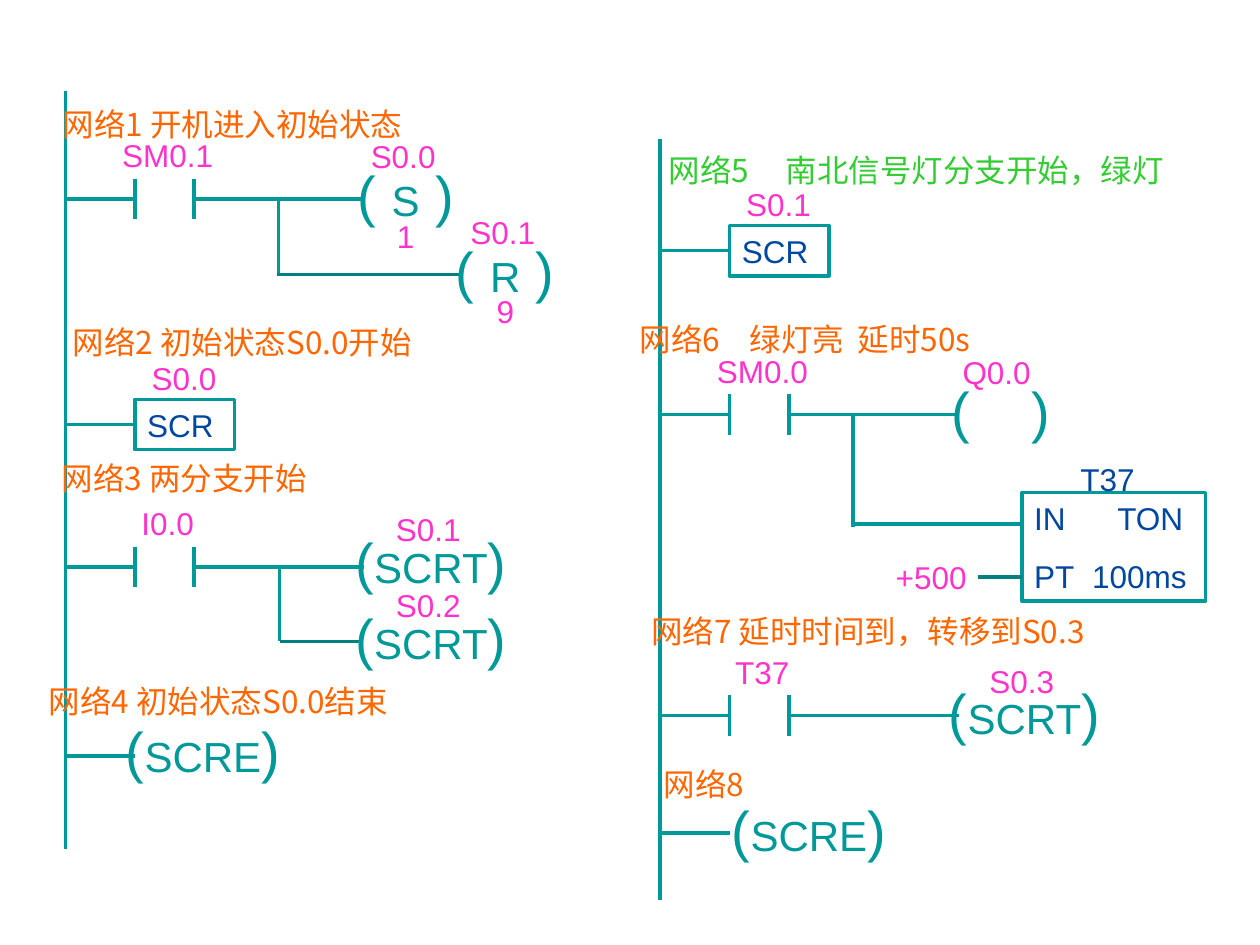
from lxml import etree
from pptx import Presentation
from pptx import util as u
from pptx.dml.color import RGBColor
from pptx.enum import shapes, text
from pptx.oxml.ns import qn

COLS, ROWS = 100, 75
COLORS = {"wire": "009999", "branch": "008080", "address": "FF33CC",
          "block": "0047A0", "title": "FF6600", "green": "33CC33"}
LATIN, CJK = "Arial", "Noto Sans CJK SC"


class Ladder:
    """Draws ladder-diagram parts on a grid of COLS by ROWS."""

    def __init__(self, prs):
        self.s = prs.slides.add_slide(prs.slide_layouts[6])
        self.cell_w = prs.slide_width / COLS
        self.cell_h = prs.slide_height / ROWS

    def x(self, cols):
        return u.Emu(round(cols * self.cell_w))

    def y(self, rows):
        return u.Emu(round(rows * self.cell_h))

    def box(self, x, y, w, h):
        return self.x(x), self.y(y), self.x(w), self.y(h)

    def color(self, name):
        return RGBColor.from_string(COLORS[name])

    def fill_paragraph(self, p, runs, color, font=LATIN, tabs=()):
        """Write (text, size) runs into a paragraph."""
        if tabs:
            tab_list = etree.SubElement(p._p.get_or_add_pPr(), qn("a:tabLst"))
            for stop in tabs:
                etree.SubElement(tab_list, qn("a:tab"), pos=str(self.x(stop)), algn="l")
        p.font.name = font
        p.font.color.rgb = self.color(color)
        if font == CJK:
            def_rpr = p._p.pPr.find(qn("a:defRPr"))
            etree.SubElement(def_rpr, qn("a:ea"), typeface=font)
        sizes = {size for _, size in runs}
        if len(sizes) == 1:
            p.font.size = u.Pt(sizes.pop())
        for words, size in runs:
            r = p.add_run()
            r.text = words
            if p.font.size is None:
                r.font.size = u.Pt(size)

    def text(self, x, y, w, h, runs, color, font=LATIN, tabs=(), centered=False):
        tf = self.s.shapes.add_textbox(*self.box(x, y, w, h)).text_frame
        tf.word_wrap = True
        tf.vertical_anchor = text.MSO_ANCHOR.BOTTOM
        p = tf.paragraphs[0]
        if centered:
            p.alignment = text.PP_ALIGN.CENTER
        self.fill_paragraph(p, runs, color, font, tabs)

    def title(self, x, y, w, words, color="title", tabs=()):
        self.text(x, y, w, 4, [(words, 18)], color, CJK, tabs)

    def label(self, cx, y, words, color="address", w=8.4):
        self.text(cx - w / 2, y, w, 4, [(words, 18)], color, centered=True)

    def wire(self, x1, y1, x2, y2, color="wire", end=None):
        c = self.s.shapes.add_connector(shapes.MSO_CONNECTOR.STRAIGHT,
                                        self.x(x1), self.y(y1), self.x(x2), self.y(y2))
        c.line.color.rgb = self.color(color)
        c.line.width = u.Pt(2)
        etree.SubElement(c._element.spPr, qn("a:effectLst"))
        if end is not None:
            c.end_connect(end, 1)

    def contact(self, rail, y, address):
        """Rail wire, open contact with its address, and wire to the coil."""
        left, right = rail + 5.5, rail + 10.2
        self.wire(rail, y, left, y)
        for bar in (left, right):
            self.wire(bar, y - 1.6, bar, y + 1.6)
        self.wire(right, y, rail + 23.7, y)
        self.label(rail + 8.1, y - 5.5, address, w=12.5)

    def coil(self, cx, y, name, address=None, count=None):
        short = len(name) == 1
        gap = " " if short else ""
        w = 13.4 if short else 16.1
        self.text(cx - w / 2, y, w, 6.4, [("(" + gap, 32), (name, 24), (gap + ")", 32)],
                  "wire", centered=True)
        if address:
            self.label(cx - 0.2, y - (1.8 if short else 1.3), address)
        if count:
            self.label(cx, y + 4.5, count)

    def block(self, x, y, w, h, lines):
        """Outlined block; each line is its text and tab stops."""
        sp = self.s.shapes.add_shape(shapes.MSO_SHAPE.RECTANGLE, *self.box(x, y, w, h))
        sp.shadow.inherit = False
        sp.fill.background()
        sp.line.color.rgb = self.color("wire")
        sp.line.width = u.Pt(2)
        tf = sp.text_frame
        tf.word_wrap = True
        tf.vertical_anchor = text.MSO_ANCHOR.MIDDLE
        for i, (words, tabs) in enumerate(lines):
            p = tf.add_paragraph() if i else tf.paragraphs[0]
            p.alignment = text.PP_ALIGN.LEFT
            if i:
                p.space_before = u.Pt(11.2)
            self.fill_paragraph(p, [(words, 18)], "block", tabs=tabs)
        return sp

    def scr(self, rail, y, address):
        """SCR block joined to the rail, with its address above."""
        x = rail + 5.5
        sp = self.block(x, y - 2, 7.9, 4, [("SCR", ())])
        self.wire(rail, y, x, y, end=sp)
        self.label(x + 3.9, y - 5.7, address)


def main():
    prs = Presentation()
    prs.slide_width, prs.slide_height = u.Inches(10), u.Inches(7.5)
    d = Ladder(prs)

    # Power rails
    left, right = 5.2, 52.4
    d.wire(left, 7.2, left, 67.4)
    d.wire(right, 11, right, 71.4)

    # Network 1: set S0.0, reset from S0.1
    d.title(4, 7.8, 31.2, "网络1 开机进入初始状态")
    d.contact(left, 15.8, "SM0.1")
    d.coil(32.2, 12.2, "S", "S0.0", "1")
    d.wire(22.1, 15.8, 22.1, 21.7)
    d.wire(36.7, 21.8, 22, 21.8, "branch")
    d.coil(40.1, 18.2, "R", "S0.1", "9")

    # Network 2: initial state begins
    d.title(4.8, 25.1, 38.6, "网络2 初始状态S0.0开始")
    d.scr(left, 33.7, "S0.0")

    # Network 3: two branches
    d.title(3.9, 35.9, 23.7, "网络3 两分支开始")
    d.contact(left, 45, "I0.0")
    d.coil(34.2, 41.3, "SCRT", "S0.1")
    d.wire(22.2, 45, 22.2, 50.9)
    d.wire(28.8, 50.9, 22.2, 50.9, "branch")
    d.coil(34.2, 47.3, "SCRT", "S0.2")

    # Network 4: initial state ends
    d.title(2.9, 53.6, 33.4, "网络4 初始状态S0.0结束")
    d.wire(left, 60, left + 5.5, 60)
    d.coil(16.1, 56.3, "SCRE")

    # Network 5: north-south branch
    d.title(52.1, 11.5, 45.7, "网络5\t南北信号灯分支开始，绿灯", "green", tabs=[9.3])
    d.scr(right, 19.9, "S0.1")

    # Network 6: green light and timer
    d.title(49.8, 24.9, 38.8, "网络6\t绿灯亮\t延时50s", tabs=[8.7, 17.3])
    d.contact(right, 32.9, "SM0.0")
    d.text(74.5, 29.3, 13.4, 6.4, [("(\t)", 32)], "wire", tabs=[6.4])
    d.label(79.1, 27.5, "Q0.0")
    d.wire(67.7, 32.8, 67.7, 41.8)
    d.wire(67.7, 41.6, 81.1, 41.6)
    d.block(81.1, 39.1, 14.6, 8.6, [("IN\tTON", [6.6]), ("PT\t100ms", [4.6])])
    d.label(87.9, 36, "T37", "block")
    d.wire(81.1, 45.8, 77.6, 45.8, "branch")
    d.label(73.9, 43.8, "+500")

    # Network 7: move on to S0.3
    d.title(50.7, 48.1, 40.3, "网络7 延时时间到，转移到S0.3")
    d.contact(right, 56.8, "T37")
    d.coil(81.3, 53.3, "SCRT", "S0.3")

    # Network 8: end
    d.title(51.7, 60.2, 9.1, "网络8")
    d.wire(right, 66.1, right + 5.5, 66.1)
    d.coil(64.2, 62.6, "SCRE")

    prs.save("out.pptx")


if __name__ == "__main__":
    main()
